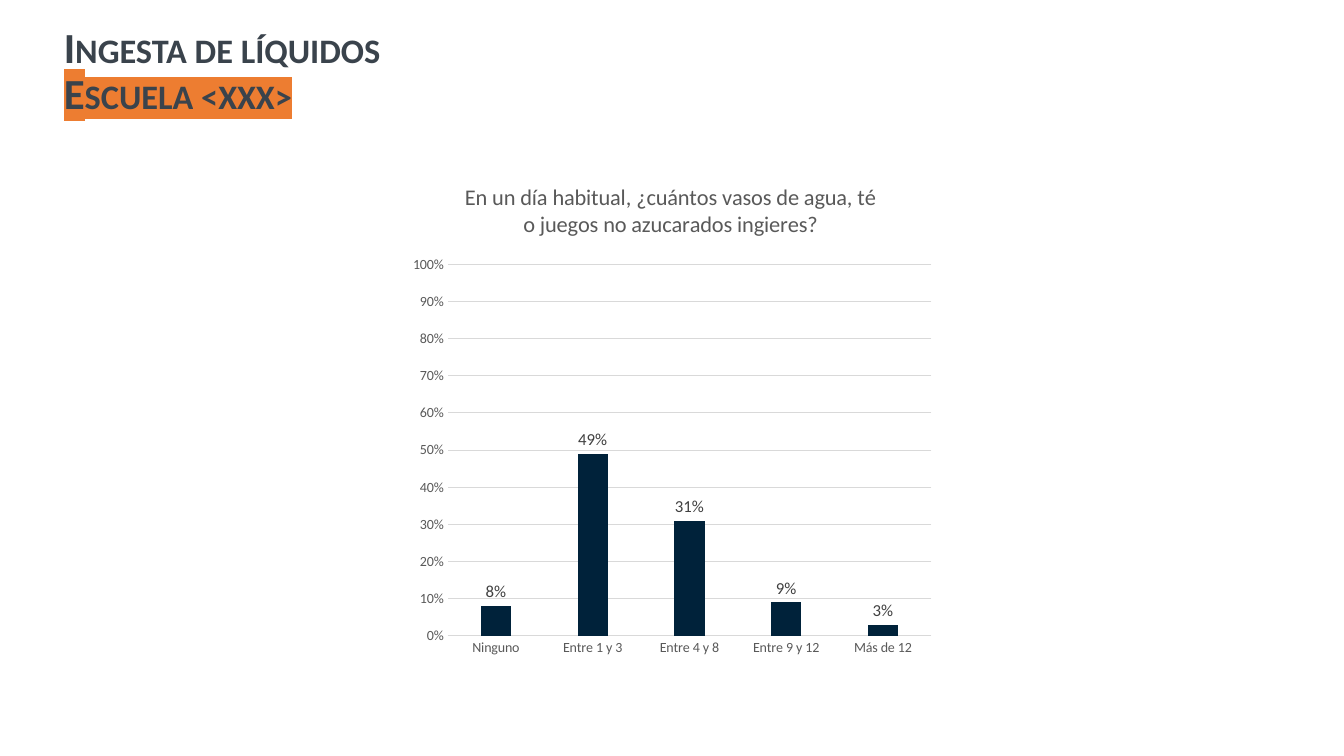
from dataclasses import dataclass

from lxml.etree import SubElement
from pptx import Presentation
from pptx.chart.data import CategoryChartData
from pptx.dml.color import RGBColor
from pptx.enum.chart import XL_CHART_TYPE as ChartType
from pptx.enum.chart import XL_LABEL_POSITION as LabelPosition
from pptx.enum.chart import XL_TICK_MARK as TickMark
from pptx.enum.text import MSO_ANCHOR as Anchor
from pptx.enum.text import MSO_AUTO_SIZE as AutoSize
from pptx.enum.text import PP_ALIGN as Align
from pptx.oxml import parse_xml
from pptx.oxml.ns import nsdecls, qn
from pptx.util import Inches, Pt


@dataclass(frozen=True)
class Theme:
    """Hold the colours, typeface and type sizes of the slide."""

    face: str = "Calibri"
    heading: str = "3A434C"
    highlight: str = "ED7D31"
    bar: str = "00223A"
    muted: str = "595959"
    label: str = "404040"
    grid: str = "D9D9D9"
    heading_size: float = 30.6
    question_size: int = 16
    label_size: int = 12
    axis_size: int = 10
    hairline: float = 0.75


THEME = Theme()
SLIDE_WIDTH, SLIDE_HEIGHT = Inches(13.33), Inches(7.5)
HEADING_BOX = (0.04, 0.033, 0.955, 0.126)
INTAKE_BOX = (0.299, 0.215, 0.4, 0.664)
PLOT_SHARES = {"x": 0.085, "y": 0.203, "w": 0.9, "h": 0.74}
HEADING = ("Ingesta de líquidos", "Escuela <xxx>")
QUESTION = "En un día habitual, ¿cuántos vasos de agua, té o juegos no azucarados ingieres?"
ANSWERS = {
    "Ninguno": 0.08,
    "Entre 1 y 3": 0.49,
    "Entre 4 y 8": 0.31,
    "Entre 9 y 12": 0.09,
    "Más de 12": 0.03,
}


def apply(target, formats):
    """Set every attribute named in a dict of format values."""
    for attribute, value in formats.items():
        setattr(target, attribute, value)


def style_font(font, size, color, bold=False):
    """Give a font the theme face with a size, colour and weight."""
    font.color.rgb = RGBColor.from_string(color)
    apply(font, {"name": THEME.face, "size": Pt(size), "bold": bold})


def style_line(line, color):
    """Draw a thin line in one colour."""
    line.color.rgb = RGBColor.from_string(color)
    line.width = Pt(THEME.hairline)


def place(box):
    """Turn shares of the slide into left, top, width and height."""
    extents = (SLIDE_WIDTH, SLIDE_HEIGHT) * 2
    return [round(share * extent) for share, extent in zip(box, extents)]


def highlight(run, color):
    """Put a marker colour behind a run."""
    fill = run._r.get_or_add_rPr().find(qn("a:solidFill"))
    fill.addnext(parse_xml(
        f'<a:highlight {nsdecls("a")}><a:srgbClr val="{color}"/></a:highlight>'))


def add_heading(slide, box):
    """Fill the title placeholder with the topic and the marked school."""
    title = slide.shapes.title
    apply(title, dict(zip(("left", "top", "width", "height"), place(box))))
    apply(title.text_frame, {
        "word_wrap": True, "auto_size": AutoSize.NONE, "vertical_anchor": Anchor.MIDDLE})
    paragraph = title.text_frame.paragraphs[0]
    apply(paragraph, {"alignment": Align.LEFT, "line_spacing": 0.9})
    topic = paragraph.add_run()
    paragraph.add_line_break()
    school = paragraph.add_run()
    for run, wording in zip((topic, school), HEADING):
        run.text = wording
        style_font(run.font, THEME.heading_size, THEME.heading, bold=True)
        run._r.get_or_add_rPr().set("cap", "small")
    highlight(school, THEME.highlight)


def fix_plot(chart):
    """Pin the inner plot area to its shares of the chart."""
    plot_area = chart._chartSpace.chart.plotArea
    for layout in plot_area.findall(qn("c:layout")):
        plot_area.remove(layout)
    layout = parse_xml(f'<c:layout {nsdecls("c")}/>')
    plot_area.insert(0, layout)
    manual = SubElement(layout, qn("c:manualLayout"))
    settings = {"layoutTarget": "inner", "xMode": "edge", "yMode": "edge", **PLOT_SHARES}
    for tag, value in settings.items():
        SubElement(manual, qn(f"c:{tag}")).set("val", str(value))


def style_axes(chart):
    """Format the answer axis and the percentage axis."""
    answers, shares = chart.category_axis, chart.value_axis
    for axis in (answers, shares):
        apply(axis, {"major_tick_mark": TickMark.NONE, "minor_tick_mark": TickMark.NONE})
        style_font(axis.tick_labels.font, THEME.axis_size, THEME.muted)
    style_line(answers.format.line, THEME.grid)
    apply(shares, {"minimum_scale": 0, "maximum_scale": 1, "major_unit": 0.1,
                   "has_major_gridlines": True})
    shares.format.line.fill.background()
    style_line(shares.major_gridlines.format.line, THEME.grid)
    apply(shares.tick_labels, {"number_format": "0%", "number_format_is_linked": False})


def style_bars(plot):
    """Format the columns and the values above them."""
    apply(plot, {"gap_width": 219, "overlap": -27, "vary_by_categories": False,
                 "has_data_labels": True})
    fill = plot.series[0].format.fill
    fill.solid()
    fill.fore_color.rgb = RGBColor.from_string(THEME.bar)
    labels = plot.data_labels
    apply(labels, {"show_value": True, "position": LabelPosition.OUTSIDE_END,
                   "number_format": "0%", "number_format_is_linked": False})
    style_font(labels.font, THEME.label_size, THEME.label)


def add_intake_chart(slide, box):
    """Chart the share of pupils giving each answer."""
    intake = CategoryChartData(number_format="0%")
    intake.categories = list(ANSWERS)
    intake.add_series("Series 1", list(ANSWERS.values()))
    chart = slide.shapes.add_chart(ChartType.COLUMN_CLUSTERED, *place(box), intake).chart
    style_font(chart.font, THEME.axis_size, THEME.muted)
    apply(chart, {"has_legend": False, "has_title": True})
    question = chart.chart_title.text_frame.paragraphs[0].add_run()
    question.text = QUESTION
    style_font(question.font, THEME.question_size, THEME.muted)
    style_axes(chart)
    style_bars(chart.plots[0])
    fix_plot(chart)


def main():
    """Build the slide and save it."""
    deck = Presentation()
    apply(deck, {"slide_width": SLIDE_WIDTH, "slide_height": SLIDE_HEIGHT})
    slide = deck.slides.add_slide(deck.slide_layouts.get_by_name("Title Only"))
    add_heading(slide, HEADING_BOX)
    add_intake_chart(slide, INTAKE_BOX)
    deck.save("out.pptx")


if __name__ == "__main__":
    main()
